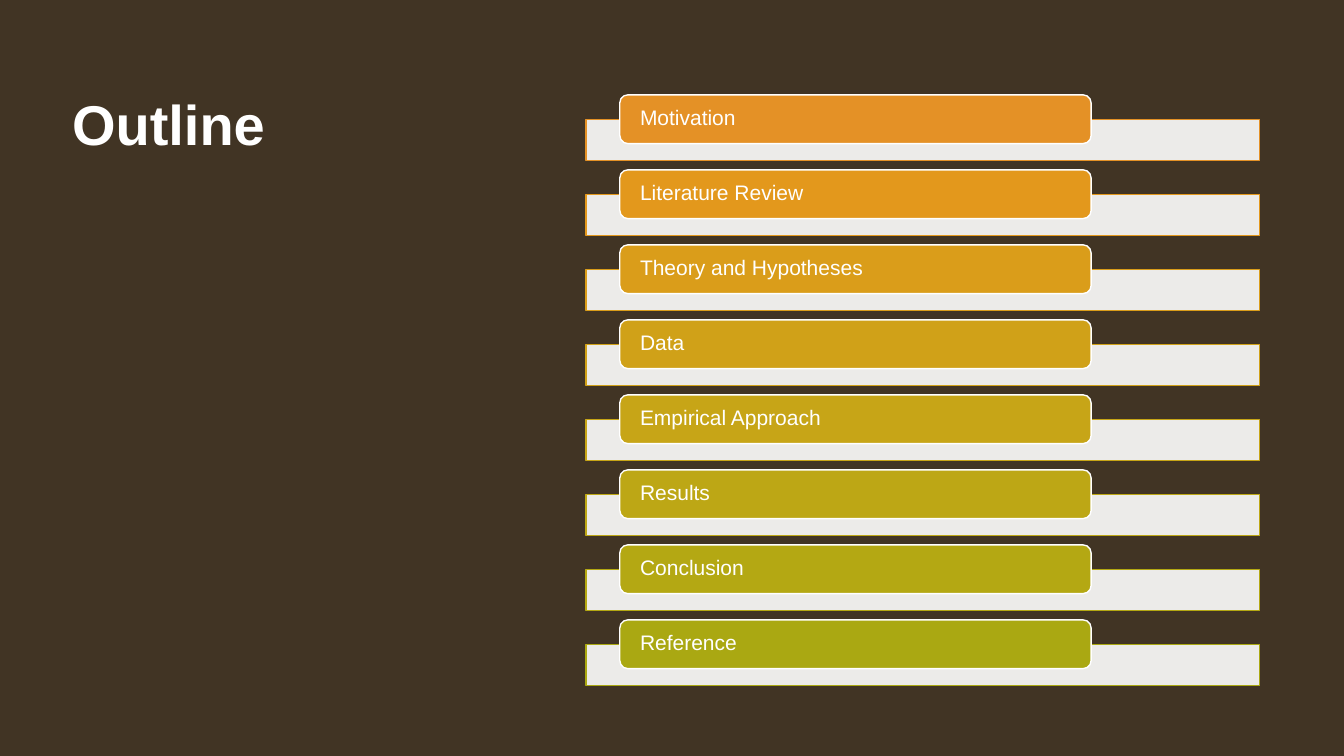
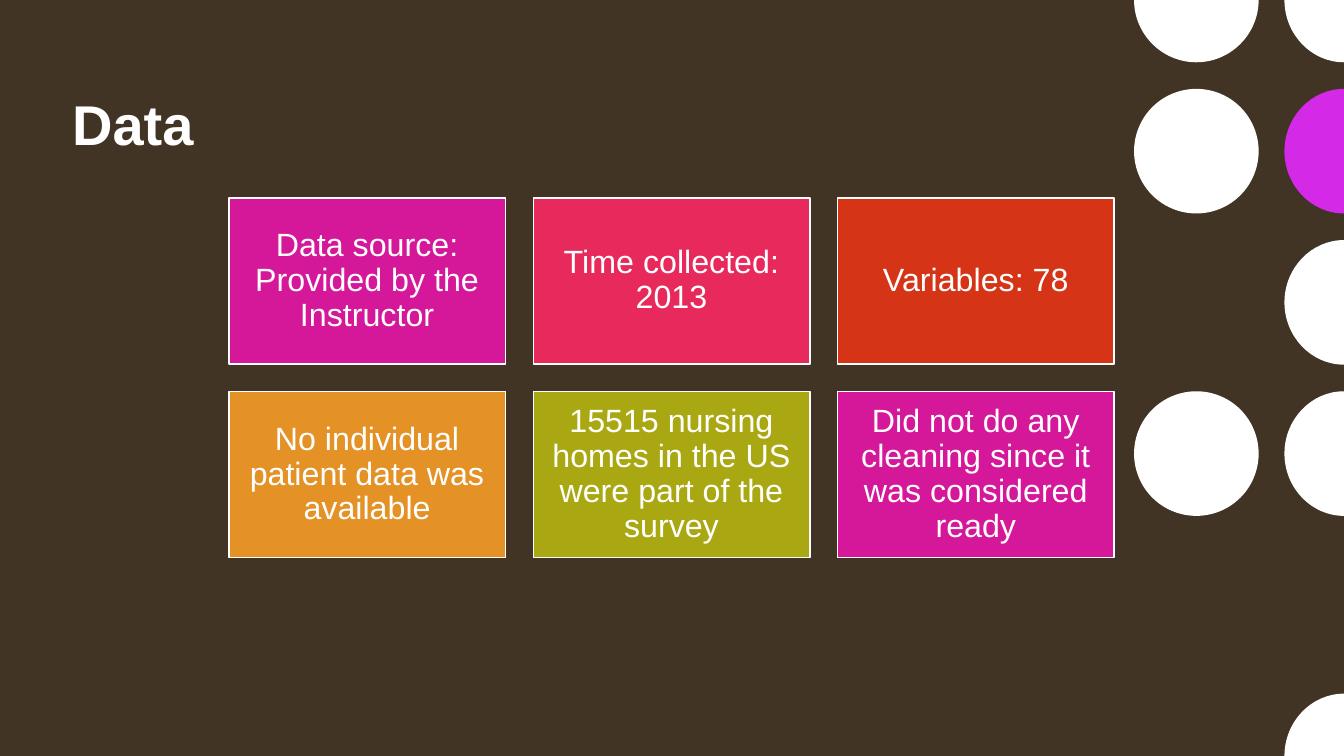
from lxml.etree import SubElement
from pptx import Presentation
from pptx.dml.color import RGBColor
from pptx.enum.shapes import MSO_SHAPE as Shape
from pptx.enum.text import MSO_ANCHOR as Anchor, PP_ALIGN as Align
from pptx.oxml.ns import qn
from pptx.util import Cm, Pt

WIDTH, HEIGHT = 33.87, 19.05
ARC = 0.55
FONT = "Arial"
BROWN, WHITE, VIOLET = "413424", "FFFFFF", "D429E7"
PINK, ROSE, RED = "D51799", "E7295C", "D53417"
ORANGE, OLIVE = "E49126", "AAA812"

OUTLINE = [
    ("Motivation", ORANGE),
    ("Literature Review", "E3981C"),
    ("Theory and Hypotheses", "DA9D1A"),
    ("Data", "D0A118"),
    ("Empirical Approach", "C7A517"),
    ("Results", "BDA715"),
    ("Conclusion", "B4A813"),
    ("Reference", OLIVE),
]
FACTS = [
    ("Data source: Provided by the Instructor", PINK),
    ("Time collected: 2013", ROSE),
    ("Variables: 78", RED),
    ("No individual patient data was available", ORANGE),
    ("15515 nursing homes in the US were part of the survey", OLIVE),
    ("Did not do any cleaning since it was considered ready", PINK),
]
DOTS = [
    (0, 1, WHITE), (0, 0, WHITE), (1, 5, WHITE), (1, 3, WHITE),
    (1, 2, WHITE), (1, 1, VIOLET), (1, 0, WHITE), (0, 3, WHITE),
]


def paint(target, color):
    target.solid()
    target.fore_color.rgb = RGBColor.from_string(color)


def style(shape, fill, line=None):
    shape.shadow.inherit = False
    paint(shape.fill, fill)
    if line:
        paint(shape.line.fill, line)
        shape.line.width = Pt(1)
    else:
        shape.line.fill.background()


def add_box(page, kind, left, top, width, height, fill, line=None):
    box = page.shapes.add_shape(kind, Cm(left), Cm(top), Cm(width), Cm(height))
    style(box, fill, line)
    return box


def set_opacity(shape, percent):
    color = shape.fill._xPr.find(qn("a:solidFill"))[0]
    SubElement(color, qn("a:alpha"), val=str(percent * 1000))


def write(shape, text, size, margins, align=Align.LEFT, anchor=Anchor.MIDDLE,
          bold=False, spacing=0.9):
    frame = shape.text_frame
    frame.word_wrap = True
    frame.vertical_anchor = anchor
    side, frame.margin_top, frame.margin_bottom = (Cm(value) for value in margins)
    frame.margin_left = frame.margin_right = side
    para = frame.paragraphs[0]
    para.text = text
    para.alignment = align
    para.line_spacing = spacing
    para.font.name = FONT
    para.font.size = Pt(size)
    para.font.bold = bold
    paint(para.font.fill, WHITE)


def add_page(deck, title, width, height):
    page = deck.slides.add_slide(deck.slide_layouts[6])
    paint(page.background.fill, BROWN)
    box = page.shapes.add_textbox(Cm(1.57), Cm(2.13), Cm(width), Cm(height))
    write(box, title, 40, (0.25, 0.13, 0.13), anchor=Anchor.TOP, bold=True, spacing=1.0)
    return page


def add_outline(page, left, top, width, pitch):
    for row, (text, color) in enumerate(OUTLINE):
        y = top + row * pitch
        bar = add_box(page, Shape.RECTANGLE, left, y + 0.62, width, 1.04, WHITE, color)
        set_opacity(bar, 90)
        tab = add_box(page, Shape.ROUNDED_RECTANGLE, left + width * 0.05, y,
                      width * 0.7, 1.23, color, WHITE)
        write(tab, text, 15, (0.45, 0, 0.05))


def add_cards(page, left, top, width, height, gap, columns=3):
    for index, (text, color) in enumerate(FACTS):
        row, column = divmod(index, columns)
        card = add_box(page, Shape.RECTANGLE, left + column * (width + gap),
                       top + row * (height + gap), width, height, color, WHITE)
        write(card, text, 23, (0.25, 0.25, 0.25), align=Align.CENTER)


def read_point(point):
    return int(point.get("x")), int(point.get("y"))


def toward(point, corner):
    return tuple(round(a + ARC * (b - a)) for a, b in zip(point, corner))


def round_slanted_sides(shape):
    start = read_point(next(shape._element.iter(qn("a:moveTo")))[0])
    middle = start[1]
    for side in list(shape._element.iter(qn("a:lnTo"))):
        end = read_point(side[0])
        if start[0] != end[0] and start[1] != end[1]:
            corner = (start[0], end[1]) if start[1] == middle else (end[0], start[1])
            side.tag = qn("a:cubicBezTo")
            side.remove(side[0])
            for x, y in (toward(start, corner), toward(end, corner), end):
                SubElement(side, qn("a:pt"), x=str(x), y=str(y))
        start = end


def add_dot(page, x, y, radius, color):
    if x + radius <= WIDTH and radius <= y <= HEIGHT - radius:
        add_box(page, Shape.OVAL, x - radius, y - radius, 2 * radius, 2 * radius, color)
        return
    ring = [(x - radius, y), (x, y - radius), (x + radius, y), (x, y + radius)]
    points = [(Cm(min(across, WIDTH)), Cm(down)) for across, down in ring
              if 0 <= down <= HEIGHT]
    builder = page.shapes.build_freeform(*points[0])
    builder.add_line_segments(points[1:] + points[:1], close=True)
    dot = builder.convert_to_shape()
    round_slanted_sides(dot)
    style(dot, color)


def add_dots(page, left, top, across, down, radius):
    for column, row, color in DOTS:
        add_dot(page, left + column * across, top + row * down, radius, color)


def main():
    deck = Presentation()
    deck.slide_width, deck.slide_height = Cm(WIDTH), Cm(HEIGHT)

    page = add_page(deck, "Outline", 11.48, 9.42)
    add_outline(page, 14.77, 2.39, 16.97, 1.89)

    page = add_page(deck, "Data", 20.37, 3.53)
    add_dots(page, 30.15, 0, 3.79, 3.81, 1.57)
    add_cards(page, 5.77, 4.99, 6.97, 4.18, 0.7)

    deck.save("out.pptx")


if __name__ == "__main__":
    main()
